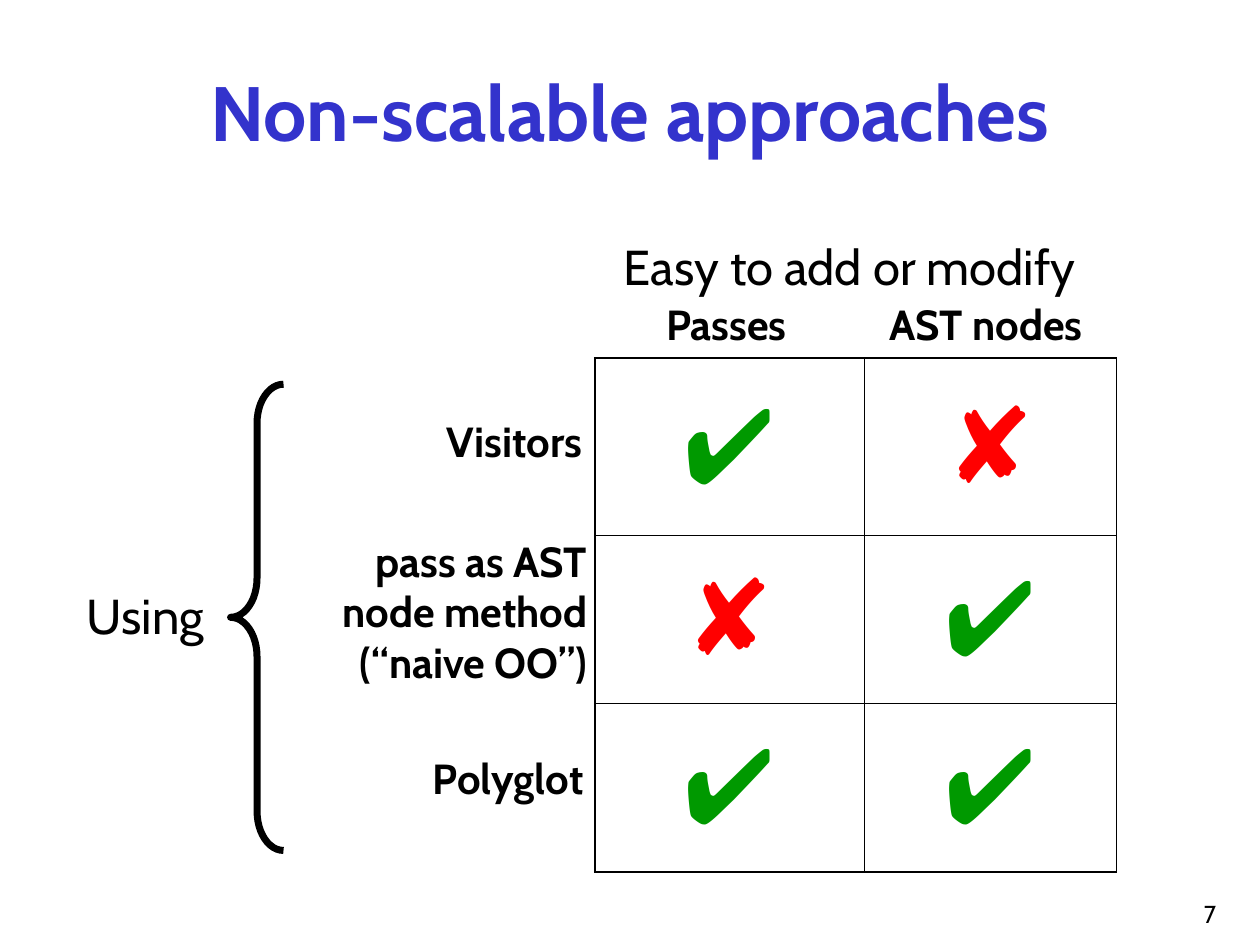
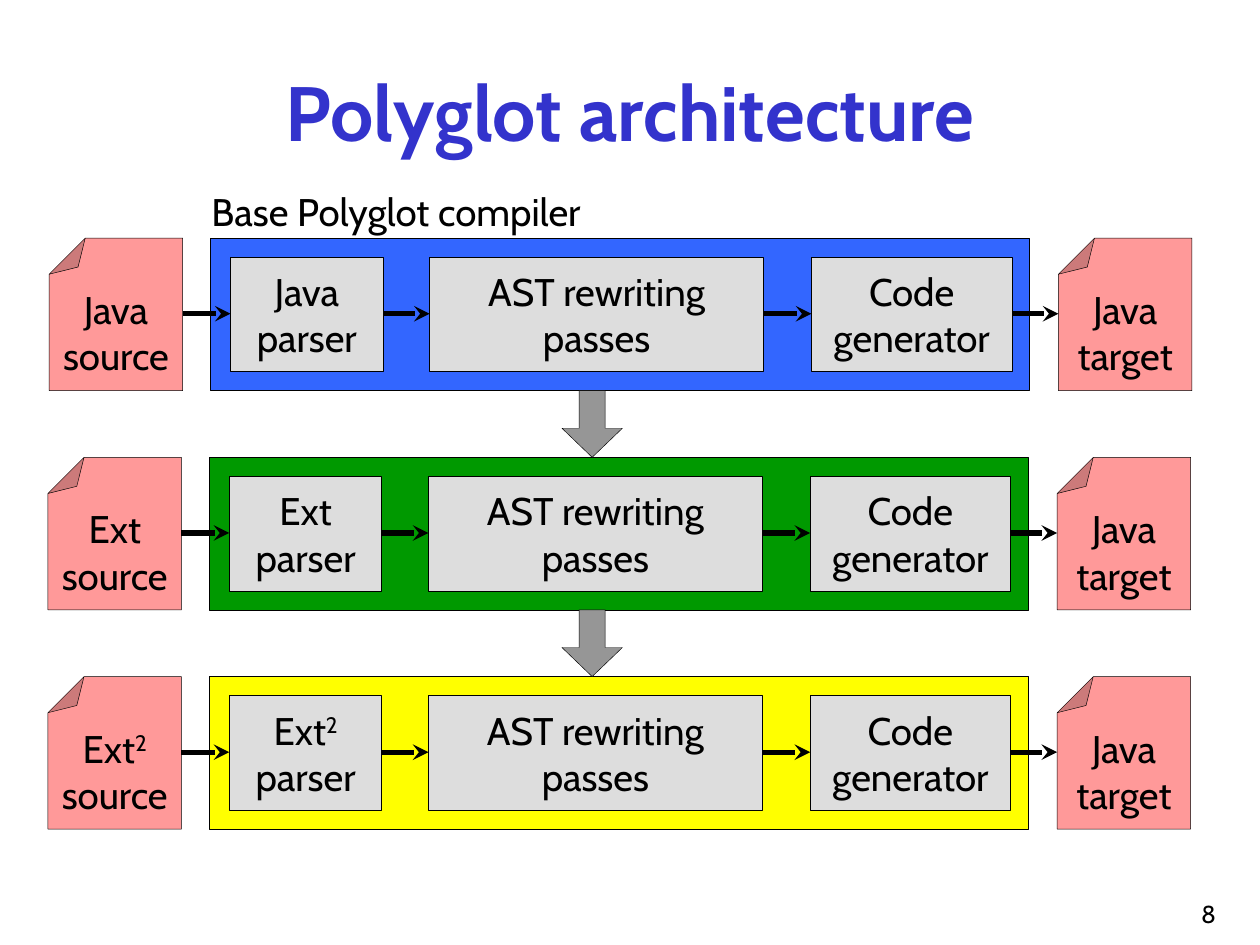
from dataclasses import dataclass
from itertools import pairwise
from typing import Any, NamedTuple

from lxml.etree import SubElement
from pptx import Presentation
from pptx.dml.color import RGBColor
from pptx.enum.shapes import MSO_CONNECTOR, MSO_SHAPE
from pptx.enum.text import MSO_ANCHOR, MSO_AUTO_SIZE, PP_ALIGN
from pptx.oxml import parse_xml
from pptx.oxml.ns import nsdecls, qn
from pptx.util import Inches, Pt

COLUMN = ROW = Inches(0.1)
FONT = "Cabin"
COLOURS = {
    "title": "3333CC",
    "ink": "000000",
    "yes": "009900",
    "no": "FF0000",
    "document": "FF9999",
    "stage": "DDDDDD",
    "arrow": "969696",
    "base": "3366FF",
    "extension": "009900",
    "second": "FFFF00",
}
MARKS = {"yes": "✔", "no": "✘"}


class Box(NamedTuple):
    column: float
    row: float
    columns: float
    rows: float

    def shifted(self, column: float, row: float) -> "Box":
        return self._replace(column=self.column + column, row=self.row + row)

    def lengths(self) -> tuple[int, int, int, int]:
        return (round(self.column * COLUMN), round(self.row * ROW),
                round(self.columns * COLUMN), round(self.rows * ROW))


@dataclass(frozen=True)
class TextStyle:
    size: float
    bold: bool = False
    colour: str = "ink"
    align: PP_ALIGN = PP_ALIGN.CENTER
    font: str = FONT


@dataclass(frozen=True)
class Label:
    box: Box
    lines: tuple[str, ...]
    style: TextStyle


@dataclass(frozen=True)
class Stage:
    box: Box
    lines: tuple[str, str]
    document: bool = False


@dataclass(frozen=True)
class Compiler:
    column: float
    language: str
    colour: str


TITLE_BOX = Box(2.5, 2.5, 95, 12.5)
NUMBER_BOX = Box(76.7, 69.2, 20.8, 5)
TITLE_STYLE = TextStyle(44, True, "title")
NUMBER_STYLE = TextStyle(14, align=PP_ALIGN.RIGHT)
CAPTION_STYLE = TextStyle(28, align=PP_ALIGN.LEFT)
ROW_STYLE = TextStyle(24, True, align=PP_ALIGN.RIGHT)
COLUMN_STYLE = TextStyle(24, True)
STAGE_STYLE = TextStyle(22)

APPROACH_LABELS = [
    Label(Box(32.7, 32.5, 14.5, 5), ("Visitors",), ROW_STYLE),
    Label(Box(23.3, 42, 24.3, 13), ("pass as AST", "node method", "(“naive OO”)"), ROW_STYLE),
    Label(Box(31.6, 59.2, 15.7, 5), ("Polyglot",), ROW_STYLE),
    Label(Box(48.5, 18.3, 41.6, 5.7), ("Easy to add or modify",), CAPTION_STYLE),
    Label(Box(51.1, 23.2, 13.1, 5), ("Passes",), COLUMN_STYLE),
    Label(Box(68.8, 23.2, 18.9, 5), ("AST nodes",), COLUMN_STYLE),
    Label(Box(5.9, 46, 12.5, 5.7), ("Using",), CAPTION_STYLE),
]
BRACE_BOX = Box(18.3, 30.5, 4.2, 37)
TABLE_BOX = Box(47.2, 28.4, 41.4, 40.8)
TABLE_COLUMNS = (21.4, 20)
TABLE_ROWS = (14.1, 13.3, 13.4)
VERDICTS = (("yes", "no"), ("no", "yes"), ("yes", "yes"))
OUTER_LINE, INNER_LINE = 1.08, 0.45

COMPILERS = [
    Compiler(3.9, "Java", "base"),
    Compiler(3.8, "Ext", "extension"),
    Compiler(3.8, "Ext^2", "second"),
]
FIRST_ROW, ROW_PITCH = 18.9, 17.4
BAND_BOX = Box(12.8, 0, 65, 12.1)
DOWN_ARROW_BOX = Box(40.8, -5.3, 4.8, 5.3)
FLOW_ROW = 6
COMPILER_LABEL = Label(Box(15.8, 14.4, 34.5, 4.6), ("Base Polyglot compiler",),
                       TextStyle(22, align=PP_ALIGN.LEFT))


def assign(target: Any, values: dict[str, Any]) -> None:
    for name, value in values.items():
        setattr(target, name, value)


def colour(name: str) -> RGBColor:
    return RGBColor.from_string(COLOURS[name])


def write(frame: Any, lines: tuple[str, ...], style: TextStyle) -> None:
    for index, line in enumerate(lines):
        paragraph = frame.add_paragraph() if index else frame.paragraphs[0]
        paragraph.alignment = style.align
        for level, part in enumerate(line.split("^")):
            run = paragraph.add_run()
            run.text = part
            assign(run.font, {"size": Pt(style.size), "bold": style.bold, "name": style.font})
            run.font.color.rgb = colour(style.colour)
            if level:
                run.font._element.set("baseline", "30000")


def add_label(shapes: Any, label: Label) -> None:
    frame = shapes.add_textbox(*label.box.lengths()).text_frame
    assign(frame, {"word_wrap": False, "auto_size": MSO_AUTO_SIZE.SHAPE_TO_FIT_TEXT})
    write(frame, label.lines, label.style)


def set_guides(shape: Any, guides: dict[str, float]) -> None:
    guide_list = shape._element.spPr.find(qn("a:prstGeom")).get_or_add_avLst()
    for guide in list(guide_list):
        guide_list.remove(guide)
    for name, share in guides.items():
        SubElement(guide_list, qn("a:gd"), name=name, fmla=f"val {round(share * 100000)}")


def add_block(shapes: Any, kind: MSO_SHAPE, box: Box, fill: str | None,
              line_width: float = 0.25, guides: dict[str, float] | None = None) -> Any:
    shape = shapes.add_shape(kind, *box.lengths())
    shape.shadow.inherit = False
    if fill:
        shape.fill.solid()
        shape.fill.fore_color.rgb = colour(fill)
    else:
        shape.fill.background()
    shape.line.color.rgb = colour("ink")
    shape.line.width = Pt(line_width)
    if guides:
        set_guides(shape, guides)
    return shape


def add_stage(shapes: Any, stage: Stage) -> None:
    if stage.document:
        shape = add_block(shapes, MSO_SHAPE.FOLDED_CORNER, stage.box, "document",
                          guides={"adj": 0.27})
        shape.rotation = 180
        shape.text_frame._txBody.bodyPr.set("rot", "10800000")
    else:
        shape = add_block(shapes, MSO_SHAPE.RECTANGLE, stage.box, "stage")
    assign(shape.text_frame, {"word_wrap": False, "vertical_anchor": MSO_ANCHOR.MIDDLE})
    write(shape.text_frame, stage.lines, STAGE_STYLE)


def add_flow(shapes: Any, start: float, end: float, row: float) -> None:
    left, top, right, bottom = Box(start, row, end, row).lengths()
    connector = shapes.add_connector(MSO_CONNECTOR.STRAIGHT, left, top, right, bottom)
    connector.line.color.rgb = colour("ink")
    connector.line.width = Pt(3)
    SubElement(connector.line._get_or_add_ln(), qn("a:tailEnd"), type="stealth")
    SubElement(connector._element.spPr, qn("a:effectLst"))


def set_borders(cell: Any, widths: dict[str, float]) -> None:
    properties = cell._tc.get_or_add_tcPr()
    for index, (side, width) in enumerate(widths.items()):
        properties.insert(index, parse_xml(
            f'<a:ln{side} {nsdecls("a")} w="{Pt(width)}"><a:solidFill>'
            f'<a:srgbClr val="{COLOURS["ink"]}"/></a:solidFill></a:ln{side}>'))


def add_verdict_table(shapes: Any) -> None:
    table = shapes.add_table(len(TABLE_ROWS), len(TABLE_COLUMNS), *TABLE_BOX.lengths()).table
    assign(table, {"first_row": False, "horz_banding": False})
    for table_column, columns in zip(table.columns, TABLE_COLUMNS):
        table_column.width = round(columns * COLUMN)
    for table_row, rows in zip(table.rows, TABLE_ROWS):
        table_row.height = round(rows * ROW)
    last_row, last_column = len(TABLE_ROWS) - 1, len(TABLE_COLUMNS) - 1
    for row, verdicts in enumerate(VERDICTS):
        for column, verdict in enumerate(verdicts):
            cell = table.cell(row, column)
            cell.vertical_anchor = MSO_ANCHOR.MIDDLE
            cell.fill.background()
            outer = {"L": column == 0, "R": column == last_column,
                     "T": row == 0, "B": row == last_row}
            set_borders(cell, {side: OUTER_LINE if edge else INNER_LINE
                               for side, edge in outer.items()})
            write(cell.text_frame, (MARKS[verdict],), TextStyle(60, colour=verdict, font="Arial"))
            paragraph = cell.text_frame.paragraphs[0]
            paragraph.space_before = Pt(15)
            properties = paragraph._p.get_or_add_pPr()
            properties.set("marL", str(Inches(0.12)))
            properties.set("indent", str(-Inches(0.12)))


def add_compiler(slide: Any, compiler: Compiler, index: int) -> None:
    shapes = slide.shapes.add_group_shape().shapes
    origin = (compiler.column, FIRST_ROW + index * ROW_PITCH)
    stages = [
        Stage(Box(0, 0, 10.6, 12.1), (compiler.language, "source"), True),
        Stage(Box(14.4, 1.5, 12.1, 9.1), (compiler.language, "parser")),
        Stage(Box(30.2, 1.5, 26.5, 9.1), ("AST rewriting", "passes")),
        Stage(Box(60.5, 1.5, 15.9, 9.1), ("Code", "generator")),
        Stage(Box(80.1, 0, 10.6, 12.1), ("Java", "target"), True),
    ]
    add_block(shapes, MSO_SHAPE.RECTANGLE, BAND_BOX.shifted(*origin), compiler.colour)
    for stage in stages:
        add_stage(shapes, Stage(stage.box.shifted(*origin), stage.lines, stage.document))
    for before, after in pairwise(stages):
        add_flow(shapes, origin[0] + before.box.column + before.box.columns,
                 origin[0] + after.box.column, origin[1] + FLOW_ROW)
    if index:
        add_block(shapes, MSO_SHAPE.DOWN_ARROW, DOWN_ARROW_BOX.shifted(*origin), "arrow",
                  guides={"adj1": 0.43, "adj2": 0.48})
    else:
        add_label(shapes, COMPILER_LABEL)


def add_titled_slide(presentation: Any, title: str, number: int) -> Any:
    slide = presentation.slides.add_slide(presentation.slide_layouts[5])
    placeholder = slide.shapes.title
    assign(placeholder, dict(zip(("left", "top", "width", "height"), TITLE_BOX.lengths())))
    placeholder.text_frame.vertical_anchor = MSO_ANCHOR.MIDDLE
    write(placeholder.text_frame, (title,), TITLE_STYLE)
    frame = slide.shapes.add_textbox(*NUMBER_BOX.lengths()).text_frame
    assign(frame, {"word_wrap": True, "vertical_anchor": MSO_ANCHOR.BOTTOM})
    write(frame, (str(number),), NUMBER_STYLE)
    return slide


def build_approaches(presentation: Any) -> None:
    slide = add_titled_slide(presentation, "Non-scalable approaches", 7)
    for label in APPROACH_LABELS:
        add_label(slide.shapes, label)
    add_verdict_table(slide.shapes)
    add_block(slide.shapes, MSO_SHAPE.LEFT_BRACE, BRACE_BOX, None, 4,
              {"adj1": 0.74, "adj2": 0.5})


def build_architecture(presentation: Any) -> None:
    slide = add_titled_slide(presentation, "Polyglot architecture", 8)
    for index, compiler in enumerate(COMPILERS):
        add_compiler(slide, compiler, index)


def main() -> None:
    presentation = Presentation()
    assign(presentation, {"slide_width": 100 * COLUMN, "slide_height": 75 * ROW})
    build_approaches(presentation)
    build_architecture(presentation)
    presentation.save("out.pptx")


if __name__ == "__main__":
    main()
